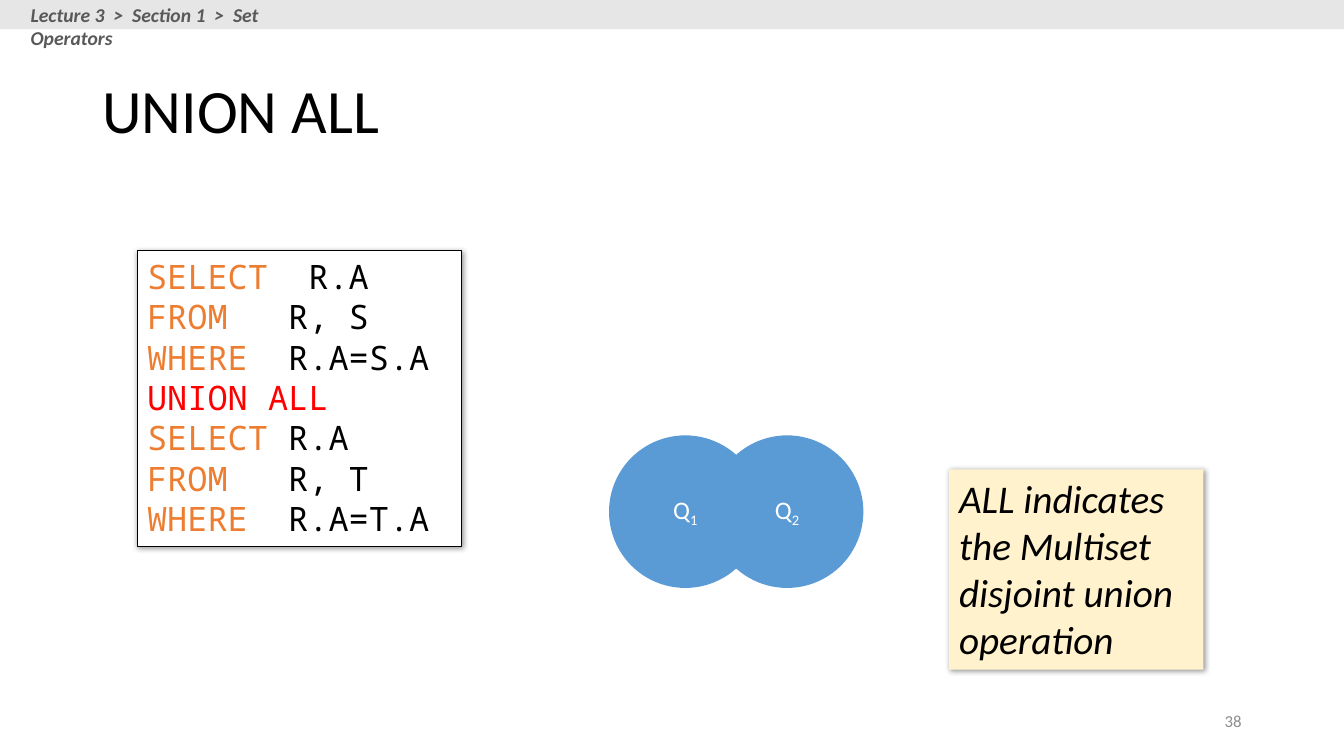
from lxml import etree
from pptx import Presentation
from pptx.dml.color import RGBColor
from pptx.enum.shapes import MSO_SHAPE as Shape
from pptx.enum.text import MSO_ANCHOR as Anchor, PP_ALIGN as Align
from pptx.oxml.ns import qn
from pptx.util import Pt

BLACK = RGBColor(0x00, 0x00, 0x00)
WHITE = RGBColor(0xFF, 0xFF, 0xFF)
ORANGE = RGBColor(0xED, 0x7D, 0x31)
RED = RGBColor(0xFF, 0x00, 0x00)
BLUE = RGBColor(0x5B, 0x9B, 0xD5)
CREAM = RGBColor(0xFF, 0xF2, 0xCC)
BAR_GRAY = RGBColor(0xE7, 0xE6, 0xE6)
CRUMB_GRAY = RGBColor(0x59, 0x59, 0x59)
NUMBER_GRAY = RGBColor(0x8C, 0x8C, 0x8C)
SANS, MONO = "Calibri", "Noto Sans Mono"

QUERY = [
    ("SELECT", "  R.A", ORANGE),
    ("FROM", "   R, S", ORANGE),
    ("WHERE", "  R.A=S.A", ORANGE),
    ("UNION ALL", "", RED),
    ("SELECT", " R.A", ORANGE),
    ("FROM", "   R, T", ORANGE),
    ("WHERE", "  R.A=T.A", ORANGE),
]


def style(paragraph, size, color, name=SANS, align=Align.LEFT, bold=False, italic=False):
    paragraph.alignment = align
    font = paragraph.font
    font.name, font.size = name, Pt(size)
    font.bold, font.italic = bold, italic
    font.color.rgb = color


def add_filled(slide, preset, left, top, width, height, fill):
    shape = slide.shapes.add_shape(preset, Pt(left), Pt(top), Pt(width), Pt(height))
    shape.shadow.inherit = False
    shape.fill.solid()
    shape.fill.fore_color.rgb = fill
    shape.line.fill.background()
    shape.text_frame.vertical_anchor = Anchor.TOP
    return shape


def add_label(slide, left, top, width, height, text):
    frame = slide.shapes.add_textbox(Pt(left), Pt(top), Pt(width), Pt(height)).text_frame
    frame.word_wrap = True
    frame.text = text
    return frame


def add_shadow(shape):
    effects = shape._element.spPr.find(qn("a:effectLst"))
    shadow = etree.SubElement(effects, qn("a:outerShdw"), blurRad=str(Pt(4)), dist=str(Pt(1)),
                              dir="2700000", algn="tl", rotWithShape="0")
    color = etree.SubElement(shadow, qn("a:srgbClr"), val=str(BLACK))
    etree.SubElement(color, qn("a:alpha"), val="40000")


def add_title(slide):
    title = slide.shapes.title
    title.left, title.top, title.width, title.height = Pt(66), Pt(28.8), Pt(828), Pt(104.4)
    title.text_frame.text = "UNION ALL"
    title.text_frame.vertical_anchor = Anchor.MIDDLE
    heading = title.text_frame.paragraphs[0]
    heading.line_spacing = 0.9
    style(heading, 44, BLACK)


def add_query(slide):
    box = add_filled(slide, Shape.RECTANGLE, 98, 179.3, 232, 211, WHITE)
    box.line.color.rgb = BLACK
    box.line.width = Pt(0.75)
    add_shadow(box)
    frame = box.text_frame
    for index, (keyword, rest, color) in enumerate(QUERY):
        line = frame.paragraphs[0] if index == 0 else frame.add_paragraph()
        style(line, 24, BLACK, MONO)
        keyword_run = line.add_run()
        keyword_run.text = keyword
        keyword_run.font.color.rgb = color
        if rest:
            line.add_run().text = rest


def add_set(slide, left, number):
    circle = add_filled(slide, Shape.OVAL, left, 311, 109, 109, BLUE)
    circle.text_frame.vertical_anchor = Anchor.MIDDLE
    label = circle.text_frame.paragraphs[0]
    style(label, 18, WHITE, align=Align.CENTER)
    label.add_run().text = "Q"
    subscript = label.add_run()
    subscript.text = str(number)
    subscript.font._element.set("baseline", "-25000")


def add_note(slide):
    note = add_filled(slide, Shape.RECTANGLE, 678, 335.3, 181.7, 143, CREAM)
    add_shadow(note)
    note.text_frame.text = "ALL indicates the Multiset disjoint union operation"
    style(note.text_frame.paragraphs[0], 28, BLACK, italic=True)


def main():
    deck = Presentation()
    deck.slide_width, deck.slide_height = Pt(960), Pt(540)
    slide = deck.slides.add_slide(deck.slide_layouts[5])
    add_title(slide)

    # Slide number
    number = add_label(slide, 678, 500.5, 216, 28.8, "38")
    number.vertical_anchor = Anchor.MIDDLE
    style(number.paragraphs[0], 12, NUMBER_GRAY, align=Align.RIGHT)

    add_query(slide)

    # Breadcrumb bar
    add_filled(slide, Shape.RECTANGLE, 0, 0, 960, 20.8, BAR_GRAY)
    crumbs = add_label(slide, 14.8, -1.5, 235.5, 24.2,
                       "Lecture 3  >  Section 1  >  Set Operators")
    style(crumbs.paragraphs[0], 14, CRUMB_GRAY, bold=True, italic=True)

    # Overlapping sets
    for index in range(2):
        add_set(slide, 435 + 72.7 * index, index + 1)

    add_note(slide)
    deck.save("out.pptx")


if __name__ == "__main__":
    main()
